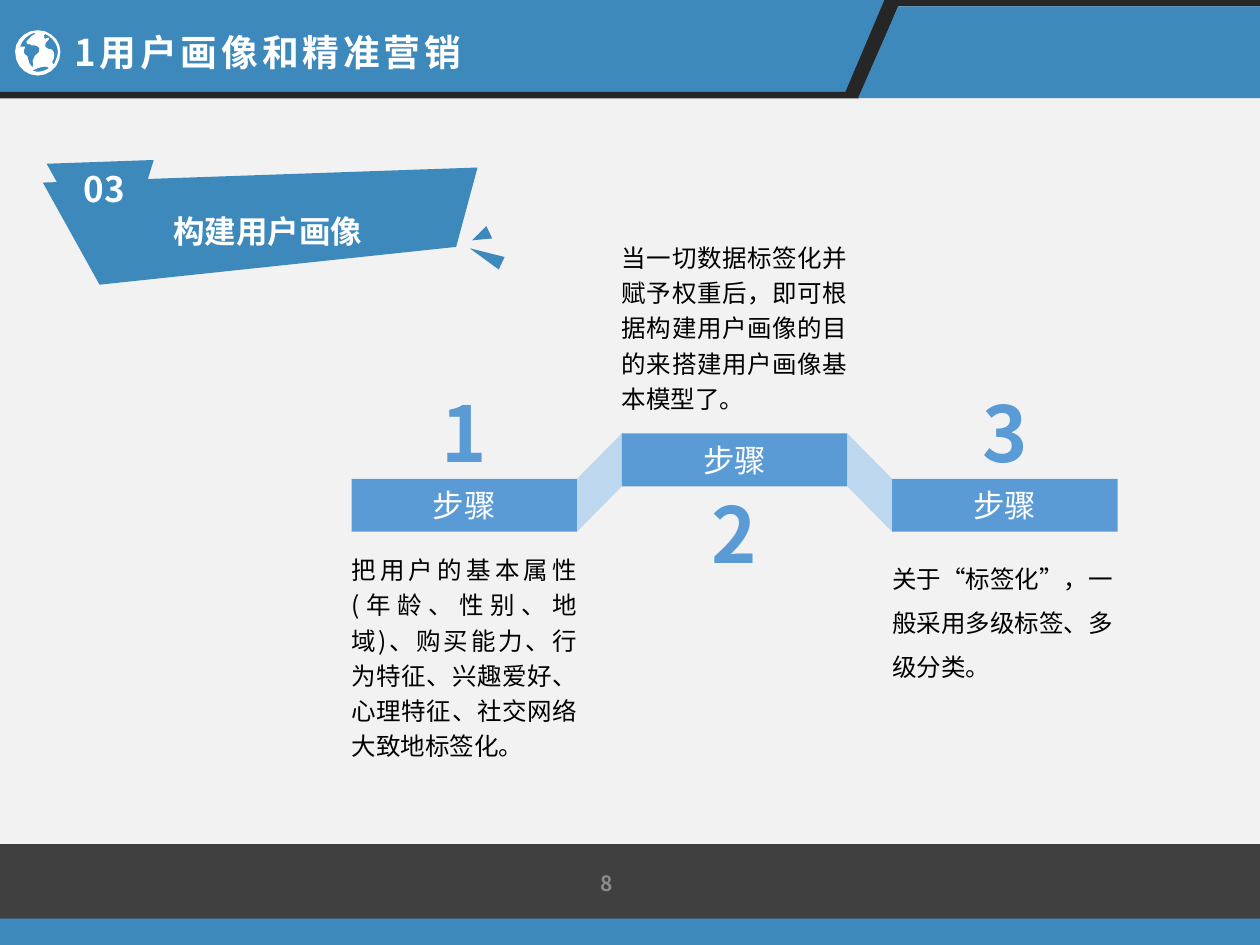
from lxml.etree import SubElement
from pptx import Presentation
from pptx.dml.color import RGBColor
from pptx.enum.shapes import MSO_SHAPE
from pptx.enum.text import MSO_ANCHOR, PP_ALIGN
from pptx.oxml.ns import qn
from pptx.util import Inches, Pt

BLUE = RGBColor(0x3D, 0x89, 0xBC)
STEP_BLUE = RGBColor(0x5B, 0x9B, 0xD5)
PALE_BLUE = RGBColor(0xBD, 0xD7, 0xEE)
DARK = RGBColor(0x26, 0x26, 0x26)
FOOTER_GRAY = RGBColor(0x40, 0x40, 0x40)
NUMBER_GRAY = RGBColor(0x8C, 0x8C, 0x8C)
BACKGROUND = RGBColor(0xF2, 0xF2, 0xF2)
WHITE = RGBColor(0xFF, 0xFF, 0xFF)
BLACK = RGBColor(0, 0, 0)
FONT = "Noto Sans CJK SC"
DEFAULT_INSETS = (0.1, 0.05, 0.1, 0.05)
CURVE_STEPS = 5

GLOBE = [
    [(0.3, 0.24), (0.2, 0.24), (0.12, 0.32), (0.12, 0.41), (0.12, 0.52), (0.2, 0.6), (0.3, 0.6),
     (0.4, 0.6), (0.48, 0.52), (0.48, 0.41), (0.48, 0.32), (0.4, 0.24), (0.3, 0.24)],
    [(0.46, 0.41), (0.46, 0.45), (0.44, 0.48), (0.43, 0.51), (0.42, 0.51), (0.41, 0.49), (0.42, 0.48),
     (0.43, 0.47), (0.43, 0.44), (0.43, 0.43), (0.43, 0.42), (0.42, 0.39), (0.4, 0.39),
     (0.39, 0.39), (0.38, 0.39), (0.36, 0.37), (0.35, 0.33), (0.4, 0.32), (0.39, 0.3),
     (0.38, 0.29), (0.35, 0.33), (0.35, 0.29), (0.35, 0.28), (0.35, 0.28), (0.36, 0.27),
     (0.41, 0.29), (0.46, 0.35), (0.46, 0.41)],
    [(0.28, 0.26), (0.28, 0.27), (0.27, 0.28), (0.26, 0.28), (0.25, 0.29), (0.24, 0.29), (0.24, 0.3),
     (0.23, 0.31), (0.21, 0.33), (0.21, 0.33), (0.21, 0.34), (0.22, 0.36), (0.23, 0.35),
     (0.23, 0.35), (0.24, 0.35), (0.25, 0.36), (0.27, 0.36), (0.33, 0.36), (0.31, 0.41),
     (0.3, 0.43), (0.28, 0.43), (0.27, 0.46), (0.27, 0.46), (0.26, 0.48), (0.26, 0.48),
     (0.26, 0.49), (0.27, 0.53), (0.26, 0.53), (0.25, 0.53), (0.23, 0.5), (0.23, 0.49),
     (0.23, 0.48), (0.22, 0.47), (0.22, 0.45), (0.22, 0.44), (0.19, 0.44), (0.19, 0.41),
     (0.19, 0.39), (0.2, 0.38), (0.2, 0.37), (0.2, 0.37), (0.17, 0.37), (0.16, 0.37),
     (0.18, 0.31), (0.23, 0.27), (0.28, 0.26)],
    [(0.25, 0.56), (0.27, 0.56), (0.27, 0.55), (0.28, 0.55), (0.28, 0.55), (0.29, 0.55), (0.3, 0.54),
     (0.31, 0.54), (0.33, 0.53), (0.35, 0.53), (0.36, 0.53), (0.38, 0.53), (0.39, 0.54),
     (0.36, 0.56), (0.33, 0.57), (0.3, 0.57), (0.28, 0.57), (0.27, 0.56), (0.25, 0.56)],
]


def flatten(curve):
    points = [curve[0]]
    for first in range(0, len(curve) - 1, 3):
        controls = curve[first:first + 4]
        for step in range(1, CURVE_STEPS + 1):
            t = step / CURVE_STEPS
            weights = ((1 - t) ** 3, 3 * t * (1 - t) ** 2, 3 * t * t * (1 - t), t ** 3)
            points.append(tuple(sum(weight * point[axis] for weight, point in zip(weights, controls))
                                for axis in (0, 1)))
    return points


class SlideBuilder:
    def __init__(self, page, font_name):
        self.page = page
        self.font_name = font_name

    def paint(self, shape, color):
        shape.shadow.inherit = False
        shape.fill.solid()
        shape.fill.fore_color.rgb = color
        shape.line.fill.background()
        return shape

    def shape(self, kind, left, top, width, height, color, rotation=0):
        shape = self.page.shapes.add_shape(kind, Inches(left), Inches(top), Inches(width), Inches(height))
        shape.rotation = rotation
        return self.paint(shape, color)

    def outline(self, color, *contours):
        scaled = [[(Inches(x), Inches(y)) for x, y in contour] for contour in contours]
        builder = self.page.shapes.build_freeform(*scaled[0][0])
        builder.add_line_segments(scaled[0][1:])
        for contour in scaled[1:]:
            builder.move_to(*contour[0])
            builder.add_line_segments(contour[1:])
        return self.paint(builder.convert_to_shape(), color)

    def label(self, shape, text, size, color, bold=False, align=PP_ALIGN.CENTER, anchor=MSO_ANCHOR.MIDDLE,
              insets=DEFAULT_INSETS, line_spacing=1.0, tracking=0, wrap=True):
        frame = shape.text_frame
        frame.word_wrap = wrap
        frame.vertical_anchor = anchor
        frame.margin_left, frame.margin_top, frame.margin_right, frame.margin_bottom = map(Inches, insets)
        para = frame.paragraphs[0]
        para.alignment = align
        para.line_spacing = line_spacing
        span = para.add_run()
        span.text = text
        font = para.font
        font.name = self.font_name
        font.size = Pt(size)
        font.bold = bold
        font.color.rgb = color
        properties = font._element
        SubElement(properties, qn("a:ea")).set("typeface", self.font_name)
        if tracking:
            properties.set("spc", str(round(tracking * 100)))

    def text(self, left, top, width, height, text, size, color, **style):
        box = self.page.shapes.add_textbox(Inches(left), Inches(top), Inches(width), Inches(height))
        self.label(box, text, size, color, **style)


def draw_header(slide):
    slide.outline(BLUE, [(0, 0), (10, 0), (7.05, 0), (6.74, 0.73), (0, 0.73)])
    slide.outline(DARK, [(7.02, 0), (10, 0), (10, 0.05), (7.13, 0.05), (6.82, 0.78),
                         (0, 0.78), (0, 0.73), (6.71, 0.73)])
    slide.outline(BLUE, [(7.13, 0.05), (10, 0.05), (10, 0.78), (6.81, 0.78)])
    slide.text(0.49, 0.19, 3.35, 0.45, "1用户画像和精准营销", 21, WHITE, bold=True, tracking=2.2,
               align=PP_ALIGN.LEFT, anchor=MSO_ANCHOR.TOP, wrap=False)
    slide.outline(WHITE, *map(flatten, GLOBE))


def draw_banner(slide):
    banner = slide.outline(BLUE, [(3.79, 1.33), (3.62, 1.96), (0.79, 2.26), (0.34, 1.45)])
    slide.label(banner, "构建用户画像", 18, WHITE, bold=True, insets=(0.24, 0.12, 0.12, 0.05))
    slide.shape(MSO_SHAPE.ISOSCELES_TRIANGLE, 3.8, 1.89, 0.11, 0.28, BLUE, 295.1)
    slide.shape(MSO_SHAPE.ISOSCELES_TRIANGLE, 3.76, 1.8, 0.11, 0.15, BLUE, 244.7)
    tag = slide.outline(BLUE, [(1.22, 1.27), (1.1, 1.66), (0.61, 1.73), (0.37, 1.3)])
    slide.label(tag, "03", 20, WHITE, bold=True, insets=(0.16, 0.05, 0.1, 0.05))


def draw_steps(slide):
    width, height, pitch, low, high = 1.79, 0.42, 2.145, 3.8, 3.44
    bottom, top = MSO_ANCHOR.BOTTOM, MSO_ANCHOR.TOP
    steps = [
        ("1", low, 3.01, bottom, 4.31, 2.06, top, PP_ALIGN.JUSTIFY, 1.2,
         "把用户的基本属性(年龄、性别、地域)、购买能力、行为特征、兴趣爱好、心理特征、社交网络大致地标签化。"),
        ("2", high, 3.86, top, 1.83, 1.5, bottom, PP_ALIGN.JUSTIFY, 1.2,
         "当一切数据标签化并赋予权重后，即可根据构建用户画像的目的来搭建用户画像基本模型了。"),
        ("3", low, 3.01, bottom, 4.31, 1.15, top, PP_ALIGN.LEFT, 1.5,
         "关于“标签化”，一般采用多级标签、多级分类。"),
    ]
    for index, (number, bar_top, number_top, number_anchor, body_top, body_height, body_anchor,
                align, spacing, body) in enumerate(steps):
        left = 2.79 + index * pitch
        bar = slide.shape(MSO_SHAPE.RECTANGLE, left, bar_top, width, height, STEP_BLUE)
        slide.label(bar, "步骤", 18, WHITE)
        slide.text(left, number_top, width, 0.78, number, 44, STEP_BLUE, bold=True,
                   anchor=number_anchor, insets=(0, 0, 0, 0))
        slide.text(left, body_top, width, body_height, body, 14, BLACK, align=align,
                   anchor=body_anchor, insets=(0, 0.05, 0, 0.05), line_spacing=spacing)
        if index < len(steps) - 1:
            right, next_left, next_top = left + width, left + pitch, steps[index + 1][1]
            slide.outline(PALE_BLUE, [(right, bar_top), (next_left, next_top),
                                      (next_left, next_top + height), (right, bar_top + height)])


def main():
    deck = Presentation()
    deck.slide_width, deck.slide_height = Inches(10), Inches(7.5)
    page = deck.slides.add_slide(deck.slide_layouts[6])
    page.background.fill.solid()
    page.background.fill.fore_color.rgb = BACKGROUND
    slide = SlideBuilder(page, FONT)
    slide.shape(MSO_SHAPE.RECTANGLE, 0, 6.7, 10, 0.6, FOOTER_GRAY)
    slide.shape(MSO_SHAPE.RECTANGLE, 0, 7.29, 10, 0.21, BLUE)
    draw_header(slide)
    slide.text(2.63, 6.81, 2.33, 0.4, "8", 12, NUMBER_GRAY, bold=True, align=PP_ALIGN.RIGHT)
    draw_banner(slide)
    draw_steps(slide)
    deck.save("out.pptx")


if __name__ == "__main__":
    main()
